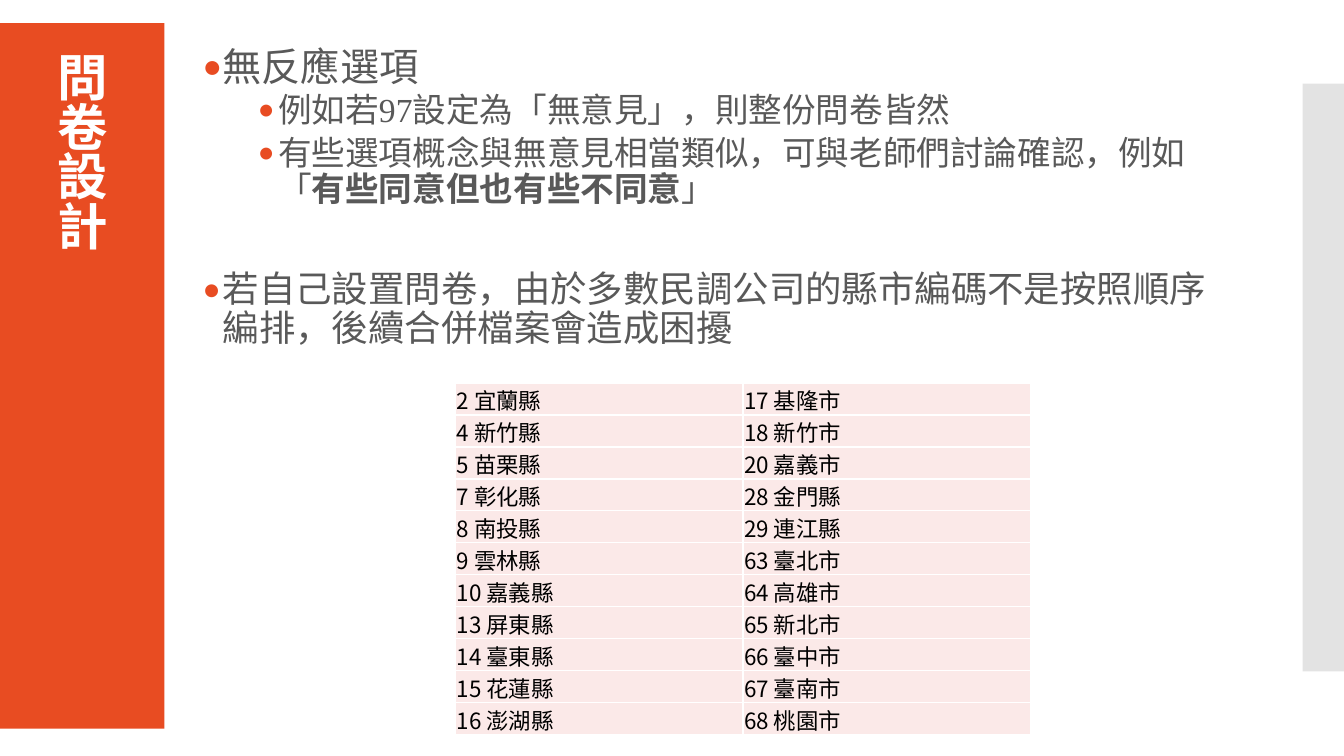
from dataclasses import dataclass

from lxml import etree
from pptx import Presentation
from pptx.dml.color import RGBColor
from pptx.enum.shapes import MSO_SHAPE
from pptx.enum.text import MSO_ANCHOR
from pptx.oxml.ns import qn
from pptx.util import Emu, Inches, Pt

RECTANGLE = MSO_SHAPE.RECTANGLE
MIDDLE = MSO_ANCHOR.MIDDLE
BLANK_LAYOUT = 6
SLIDE_WIDTH = Inches(13.33)
SLIDE_HEIGHT = Inches(7.5)


@dataclass(frozen=True)
class Theme:
    accent: str = "E84C22"
    side_bar: str = "C8C8C8"
    body: str = "595959"
    cell: str = "FBE9E8"
    white: str = "FFFFFF"
    black: str = "000000"
    title_font: str = "Calibri"
    body_font: str = "Times New Roman"
    chinese_font: str = "Noto Sans CJK TC"
    title_size: int = 36
    heading_size: int = 28
    note_size: int = 26
    detail_size: int = 24
    cell_size: int = 16


THEME = Theme()

BULLETS = [
    (0, THEME.heading_size, 0, ["無反應選項"]),
    (1, THEME.detail_size, 2.5, ["例如若97設定為「無意見」，則整份問卷皆然"]),
    (1, THEME.detail_size, 2.5, [
        "有些選項概念與無意見相當類似，可與老師們討論確認，例如「",
        "有些同意但也有些不同意",
        "」",
    ]),
    (0, THEME.note_size, 42, [
        "若自己設置問卷，由於多數民調公司的縣市編碼不是按照順序編排，後續合併檔案會造成困擾",
    ]),
]

COUNTY_CODES = [
    ("2 宜蘭縣", "17 基隆市"),
    ("4 新竹縣", "18 新竹市"),
    ("5 苗栗縣", "20 嘉義市"),
    ("7 彰化縣", "28 金門縣"),
    ("8 南投縣", "29 連江縣"),
    ("9 雲林縣", "63 臺北市"),
    ("10 嘉義縣", "64 高雄市"),
    ("13 屏東縣", "65 新北市"),
    ("14 臺東縣", "66 臺中市"),
    ("15 花蓮縣", "67 臺南市"),
    ("16 澎湖縣", "68 桃園市"),
]


def place(left, top, width, height):
    """Turn percentages of the slide into lengths."""
    return (
        Emu(round(SLIDE_WIDTH * left / 100)),
        Emu(round(SLIDE_HEIGHT * top / 100)),
        Emu(round(SLIDE_WIDTH * width / 100)),
        Emu(round(SLIDE_HEIGHT * height / 100)),
    )


def add_bar(slide, area, color, opacity=100):
    bar = slide.shapes.add_shape(RECTANGLE, *place(*area))
    bar.shadow.inherit = False
    bar.fill.solid()
    bar.fill.fore_color.rgb = RGBColor.from_string(color)
    bar.line.fill.background()
    if opacity < 100:
        color_element = bar.fill._xPr.find(qn("a:solidFill"))[0]
        etree.SubElement(color_element, qn("a:alpha"), val=str(opacity * 1000))


def style_paragraph(paragraph, name, size, color, bold=None):
    font = paragraph.font
    font.name = name
    font.size = Pt(size)
    font.bold = bold
    font.color.rgb = RGBColor.from_string(color)
    defaults = paragraph._p.get_or_add_pPr().find(qn("a:defRPr"))
    etree.SubElement(defaults, qn("a:ea"), typeface=THEME.chinese_font)
    return defaults


def add_text_frame(slide, area):
    frame = slide.shapes.add_textbox(*place(*area)).text_frame
    frame.word_wrap = True
    return frame


def add_vertical_title(slide, area, text):
    frame = add_text_frame(slide, area)
    frame.vertical_anchor = MIDDLE
    frame._txBody.bodyPr.set("vert", "eaVert")
    paragraph = frame.paragraphs[0]
    paragraph.text = text
    paragraph.line_spacing = 0.9
    defaults = style_paragraph(
        paragraph, THEME.title_font, THEME.title_size, THEME.white, True
    )
    defaults.set("spc", "-60")


def add_bullet_mark(paragraph, level):
    properties = paragraph._p.get_or_add_pPr()
    properties.set("marL", str(Inches((0.2, 0.75)[level])))
    properties.set("indent", str(Inches(-0.2)))
    color = etree.SubElement(properties, qn("a:buClr"))
    etree.SubElement(color, qn("a:srgbClr"), val=THEME.accent)
    etree.SubElement(properties, qn("a:buFont"), typeface=THEME.title_font)
    etree.SubElement(properties, qn("a:buChar"), char="•")


def add_bullets(slide, area, bullets):
    frame = add_text_frame(slide, area)
    for index, (level, size, space_before, parts) in enumerate(bullets):
        paragraph = frame.add_paragraph() if index else frame.paragraphs[0]
        paragraph.level = level
        paragraph.line_spacing = 0.9
        paragraph.space_before = Pt(space_before)
        paragraph.space_after = Pt(2.5 * level)
        add_bullet_mark(paragraph, level)
        style_paragraph(paragraph, THEME.body_font, size, THEME.body)
        for position, part in enumerate(parts):
            run = paragraph.add_run()
            run.text = part
            if position == 1:
                run.font.bold = True


def add_cell_borders(cell):
    properties = cell._tc.get_or_add_tcPr()
    for side in ("lnL", "lnR", "lnT", "lnB"):
        border = etree.SubElement(properties, qn(f"a:{side}"), w=str(Pt(1)))
        fill = etree.SubElement(border, qn("a:solidFill"))
        etree.SubElement(fill, qn("a:srgbClr"), val=THEME.white)


def fill_cell(cell, text):
    cell.margin_left = cell.margin_right = cell.margin_top = Inches(0.01)
    cell.margin_bottom = 0
    cell.vertical_anchor = MIDDLE
    add_cell_borders(cell)
    cell.fill.solid()
    cell.fill.fore_color.rgb = RGBColor.from_string(THEME.cell)
    paragraph = cell.text_frame.paragraphs[0]
    paragraph.text = text
    style_paragraph(paragraph, THEME.chinese_font, THEME.cell_size, THEME.black)


def add_code_table(slide, area, rows):
    frame = slide.shapes.add_table(len(rows), len(rows[0]), *place(*area))
    table = frame.table
    table.first_row = False
    table.horz_banding = False
    for row_index, row in enumerate(rows):
        for column_index, text in enumerate(row):
            fill_cell(table.cell(row_index, column_index), text)


def main():
    presentation = Presentation()
    presentation.slide_width = SLIDE_WIDTH
    presentation.slide_height = SLIDE_HEIGHT
    slide = presentation.slides.add_slide(presentation.slide_layouts[BLANK_LAYOUT])
    add_bar(slide, (0, 3.07, 12.23, 93.33), THEME.accent)
    add_bar(slide, (96.92, 11.07, 3.08, 77.73), THEME.side_bar, 50)
    add_vertical_title(slide, (2.1, 5.6, 7.28, 87.07), "問卷設計")
    add_bullets(slide, (14.33, 5.6, 77.42, 92.67), BULLETS)
    add_code_table(slide, (33.91, 50.67, 42.76, 46.53), COUNTY_CODES)
    presentation.save("out.pptx")


if __name__ == "__main__":
    main()
